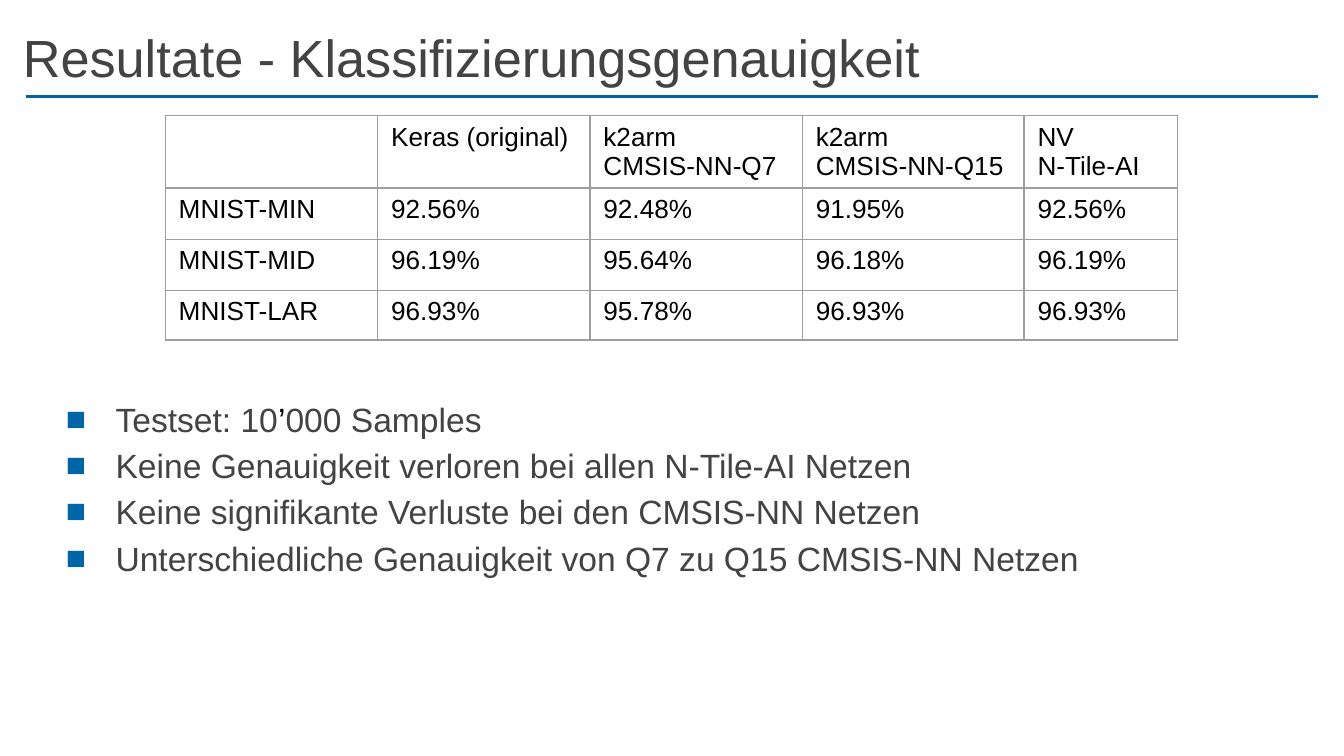
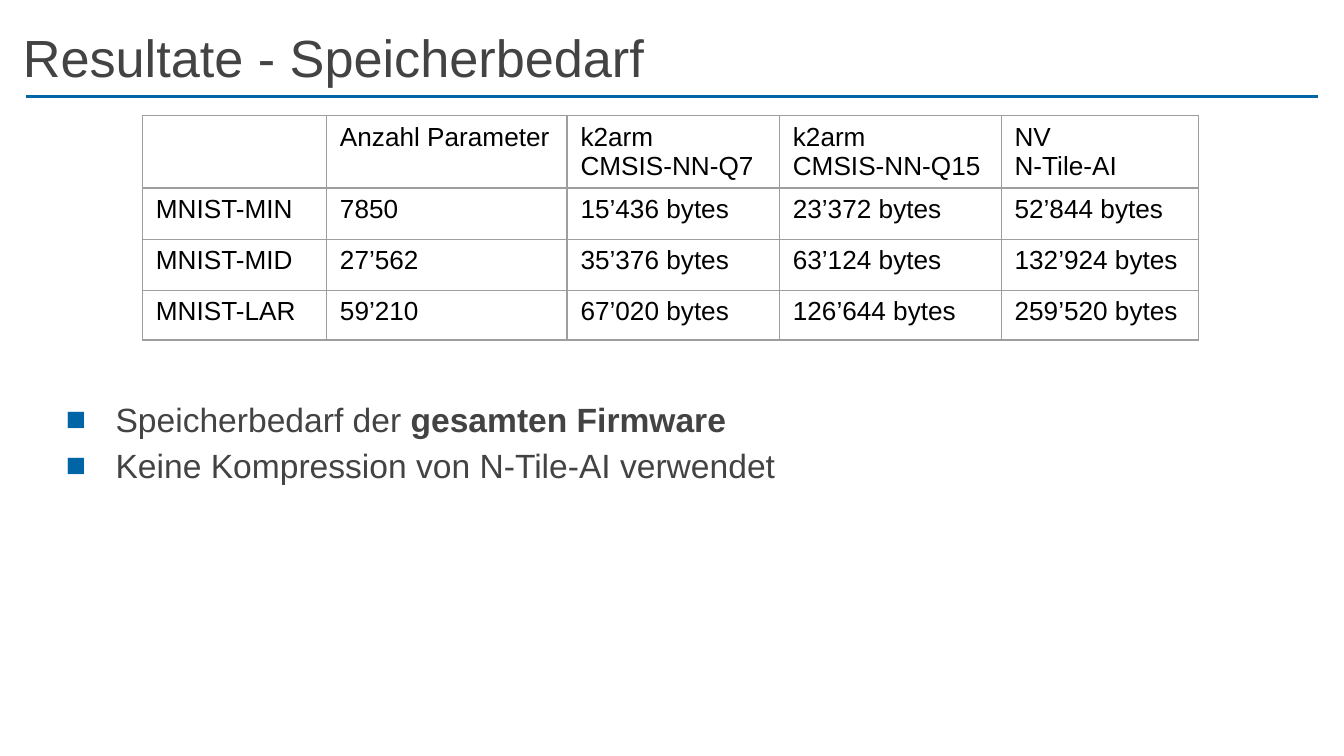
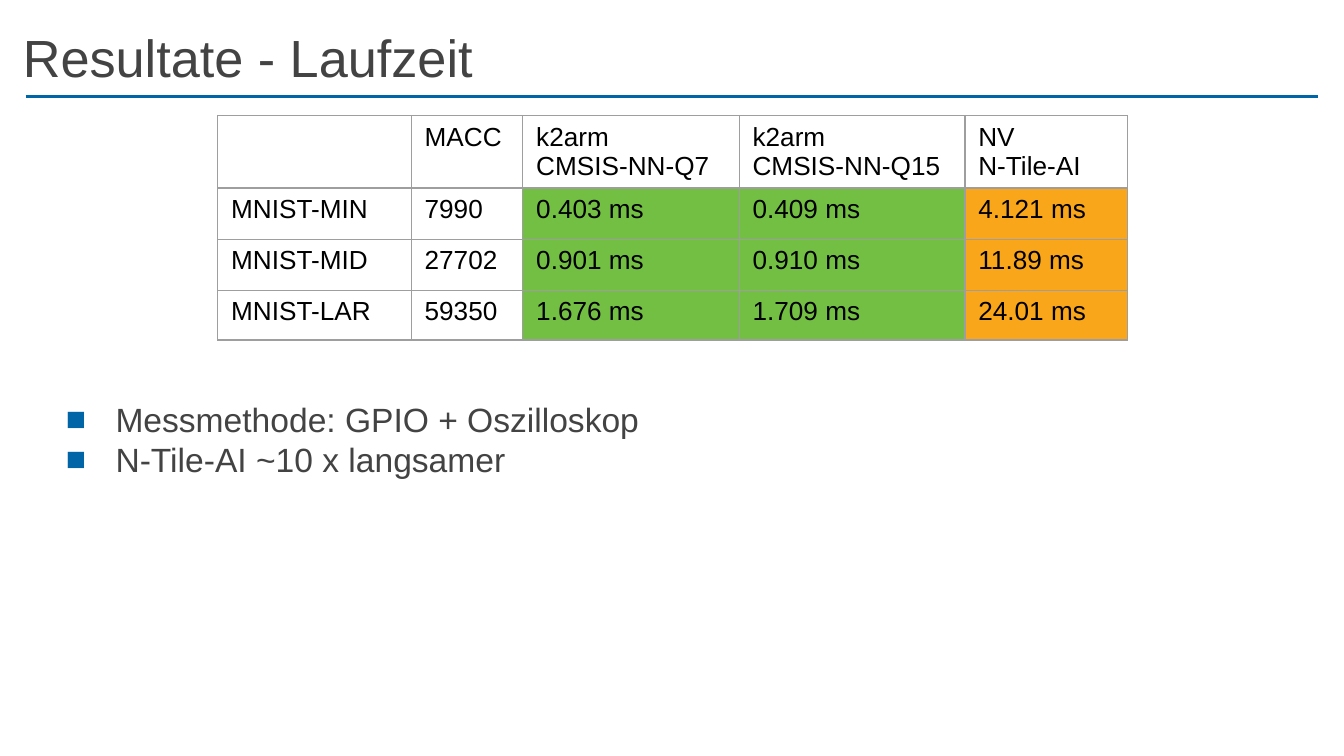
from lxml.etree import SubElement
from pptx import Presentation
from pptx.dml.color import RGBColor
from pptx.enum.shapes import MSO_CONNECTOR
from pptx.enum.text import MSO_ANCHOR, MSO_AUTO_SIZE, PP_ALIGN
from pptx.oxml.ns import qn
from pptx.util import Inches, Pt

BLUE = RGBColor(0x00, 0x65, 0xA6)
DARK_GRAY = RGBColor(0x43, 0x43, 0x43)
BORDER_GRAY = RGBColor(0x9E, 0x9E, 0x9E)
BLACK = RGBColor(0x00, 0x00, 0x00)
WHITE = RGBColor(0xFF, 0xFF, 0xFF)
GREEN = RGBColor(0x72, 0xBF, 0x44)
ORANGE = RGBColor(0xFA, 0xA6, 0x1A)

TITLE_FONT = {"name": "Arial", "size": Pt(28), "bold": False}
LIST_FONT = {"name": "Arial", "size": Pt(18), "bold": False}
CELL_FONT = {"name": "Arial", "size": Pt(14), "bold": False}
TITLE_BOX = {"left": Inches(0.07), "top": Inches(0.09), "width": Inches(8.5), "height": Inches(0.62)}
LIST_BOX = {"left": Inches(0.26), "top": Inches(2.82), "width": Inches(8.23), "height": Inches(1.65)}
FRAME_FORMAT = {
    "margin_left": Inches(0.1), "margin_right": Inches(0.1),
    "margin_top": Inches(0.1), "margin_bottom": Inches(0.1),
    "word_wrap": True, "auto_size": MSO_AUTO_SIZE.NONE, "vertical_anchor": MSO_ANCHOR.TOP,
}
TITLE_PARAGRAPH = {"alignment": PP_ALIGN.LEFT, "line_spacing": 1.0, "space_before": Pt(0)}
LIST_PARAGRAPH = {"alignment": PP_ALIGN.LEFT, "line_spacing": 1.15, "space_before": Pt(0)}

TOOL_HEADERS = ["k2arm\nCMSIS-NN-Q7", "k2arm\nCMSIS-NN-Q15", "NV\nN-Tile-AI"]
NETWORKS = ["MNIST-MIN", "MNIST-MID", "MNIST-LAR"]
ROW_HEIGHTS = [0.54, 0.38, 0.38, 0.37]
TABLE_TOP = 0.86

RESULTS = [
    {
        "title": "Resultate - Klassifizierungsgenauigkeit",
        "reference": "Keras (original)",
        "left": 1.23,
        "widths": [1.58, 1.58, 1.58, 1.65, 1.14],
        "fills": [WHITE, WHITE, WHITE],
        "values": [
            ["92.56%", "92.48%", "91.95%", "92.56%"],
            ["96.19%", "95.64%", "96.18%", "96.19%"],
            ["96.93%", "95.78%", "96.93%", "96.93%"],
        ],
        "points": [
            [("Testset: 10", DARK_GRAY, False), ("’", BLACK, False), ("000 Samples", DARK_GRAY, False)],
            [("Keine Genauigkeit verloren bei allen N-Tile-AI Netzen", DARK_GRAY, False)],
            [("Keine signifikante Verluste bei den CMSIS-NN Netzen", DARK_GRAY, False)],
            [("Unterschiedliche Genauigkeit von Q7 zu Q15 CMSIS-NN Netzen", DARK_GRAY, False)],
        ],
        "last_spacing": 1.15,
    },
    {
        "title": "Resultate - Speicherbedarf",
        "reference": "Anzahl Parameter",
        "left": 1.06,
        "widths": [1.37, 1.79, 1.58, 1.65, 1.47],
        "fills": [WHITE, WHITE, WHITE],
        "values": [
            ["7850", "15’436 bytes", "23’372 bytes", "52’844 bytes"],
            ["27’562", "35’376 bytes", "63’124 bytes", "132’924 bytes"],
            ["59’210", "67’020 bytes", "126’644 bytes", "259’520 bytes"],
        ],
        "points": [
            [("Speicherbedarf der ", DARK_GRAY, False), ("gesamten Firmware", DARK_GRAY, True)],
            [("Keine Kompression von N-Tile-AI verwendet", DARK_GRAY, False)],
        ],
        "last_spacing": 1.15,
    },
    {
        "title": "Resultate - Laufzeit",
        "reference": "MACC",
        "left": 1.62,
        "widths": [1.44, 0.83, 1.61, 1.68, 1.21],
        "fills": [GREEN, GREEN, ORANGE],
        "values": [
            ["7990", "0.403 ms", "0.409 ms", "4.121 ms"],
            ["27702", "0.901 ms", "0.910 ms", "11.89 ms"],
            ["59350", "1.676 ms", "1.709 ms", "24.01 ms"],
        ],
        "points": [
            [("Messmethode: GPIO + Oszilloskop", DARK_GRAY, False)],
            [("N-Tile-AI ~10 x langsamer", DARK_GRAY, False)],
        ],
        "last_spacing": 1.0,
    },
]


def set_attributes(target, values):
    for name, value in values.items():
        setattr(target, name, value)


def add_run(paragraph, text, font_values, color):
    run = paragraph.add_run()
    run.text = text
    set_attributes(run.font, font_values)
    run.font.color.rgb = color


presentation = Presentation()
presentation.slide_width = Inches(10)
presentation.slide_height = presentation.slide_width * 9 // 16
layout = presentation.slide_layouts[1]

for placeholder in list(layout.placeholders):
    if placeholder.placeholder_format.idx > 1:
        layout.shapes.element.remove(placeholder.element)
for placeholder, box in zip(layout.placeholders, [TITLE_BOX, LIST_BOX]):
    set_attributes(placeholder, box)
    set_attributes(placeholder.text_frame, FRAME_FORMAT)

for result in RESULTS:
    slide = presentation.slides.add_slide(layout)
    title, body = slide.placeholders
    for shape, box in [(title, TITLE_BOX), (body, LIST_BOX)]:
        set_attributes(shape, box)
        set_attributes(shape.text_frame, FRAME_FORMAT)

    paragraph = title.text_frame.paragraphs[0]
    set_attributes(paragraph, TITLE_PARAGRAPH)
    add_run(paragraph, result["title"], TITLE_FONT, DARK_GRAY)

    table_shape = slide.shapes.add_table(
        len(ROW_HEIGHTS), len(result["widths"]), Inches(result["left"]), Inches(TABLE_TOP),
        Inches(sum(result["widths"])), Inches(sum(ROW_HEIGHTS)))
    table = table_shape.table
    set_attributes(table, {"first_row": False, "horz_banding": False})
    for column, width in zip(table.columns, result["widths"]):
        column.width = Inches(width)
    for row, height in zip(table.rows, ROW_HEIGHTS):
        row.height = Inches(height)

    rows = [["", result["reference"], *TOOL_HEADERS]]
    rows += [[network, *values] for network, values in zip(NETWORKS, result["values"])]
    for row_index, texts in enumerate(rows):
        for column_index, text in enumerate(texts):
            cell = table.cell(row_index, column_index)
            if row_index > 0 and column_index > 1:
                cell.fill.solid()
                cell.fill.fore_color.rgb = result["fills"][column_index - 2]
            else:
                cell.fill.background()
            for line_index, line in enumerate(text.splitlines()):
                frame = cell.text_frame
                paragraph = frame.add_paragraph() if line_index else frame.paragraphs[0]
                add_run(paragraph, line, CELL_FONT, BLACK)
            properties = cell._tc.get_or_add_tcPr()
            for position, side in enumerate(["a:lnL", "a:lnR", "a:lnT", "a:lnB"]):
                border = SubElement(properties, qn(side), w=str(Pt(0.75)))
                fill = SubElement(border, qn("a:solidFill"))
                SubElement(fill, qn("a:srgbClr"), val=str(BORDER_GRAY))
                properties.insert(position, border)

    for point_index, runs in enumerate(result["points"]):
        frame = body.text_frame
        paragraph = frame.add_paragraph() if point_index else frame.paragraphs[0]
        set_attributes(paragraph, LIST_PARAGRAPH)
        if point_index == len(result["points"]) - 1:
            paragraph.line_spacing = result["last_spacing"]
        properties = paragraph._p.get_or_add_pPr()
        properties.set("marL", str(Inches(0.5)))
        properties.set("indent", str(Inches(-0.37)))
        bullet_color = SubElement(properties, qn("a:buClr"))
        SubElement(bullet_color, qn("a:srgbClr"), val=str(BLUE))
        SubElement(properties, qn("a:buChar"), char="■")
        for text, color, bold in runs:
            add_run(paragraph, text, {**LIST_FONT, "bold": bold}, color)

title_rule = presentation.slides[0].shapes.add_connector(
    MSO_CONNECTOR.STRAIGHT, Inches(0.19), Inches(0.72), Inches(9.81), Inches(0.72))
title_rule.line.color.rgb = BLUE
title_rule.line.width = Pt(1.5)
SubElement(title_rule.element.spPr, qn("a:effectLst"))
layout.shapes.element.append(title_rule.element)

presentation.save("out.pptx")
